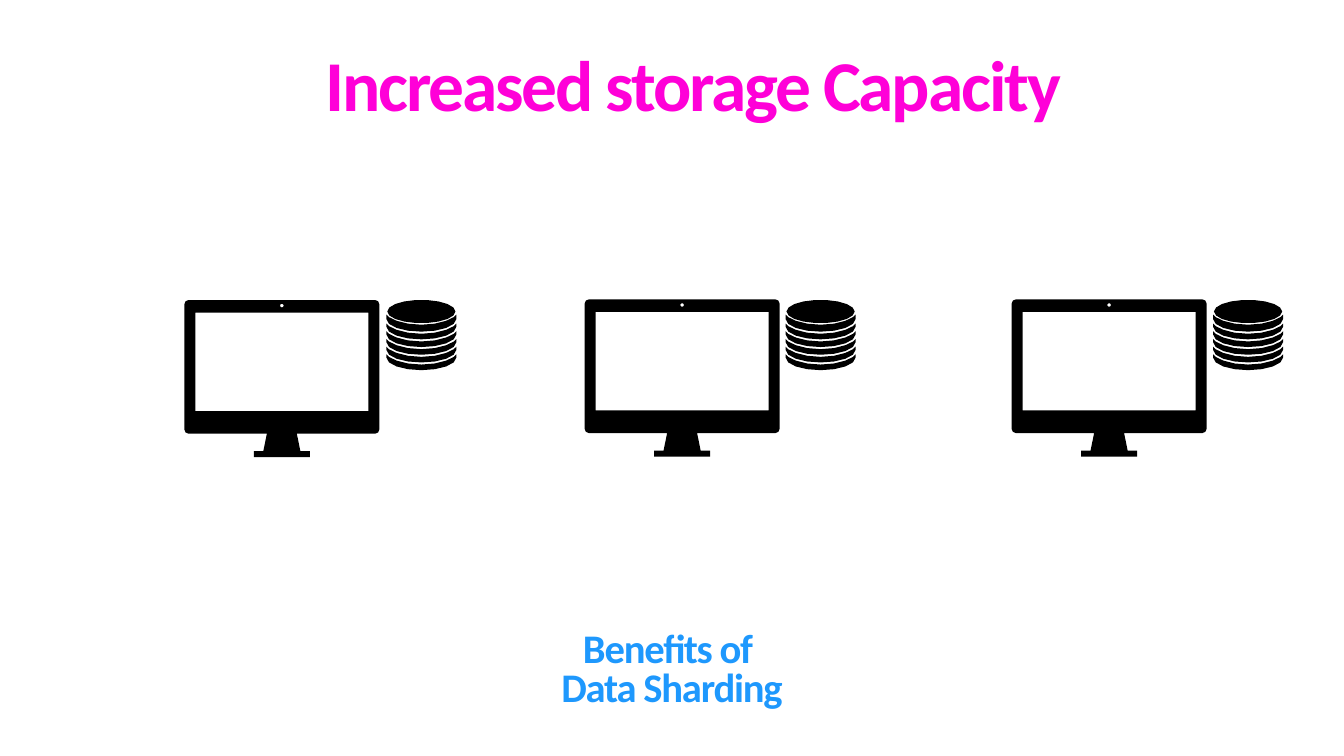
from dataclasses import dataclass
from math import cos, pi, sin

from pptx import Presentation
from pptx.dml.color import RGBColor
from pptx.enum import text as t
from pptx.util import Pt

BLACK = RGBColor(0x00, 0x00, 0x00)
BLUE = RGBColor(0x1E, 0x98, 0xFD)
MAGENTA = RGBColor(0xFF, 0x00, 0xF7)
PINK = RGBColor(0xFF, 0x00, 0xD8)
ORANGE = RGBColor(0xFF, 0x54, 0x2E)

Dots = list[tuple[float, float]]


@dataclass
class Node:
    """A server: top-left corner of its monitor and left of its disk stack."""
    left: float
    top: float
    disk: float


NODES = [Node(263.4, 428.6, 552), Node(835.2, 427.7, 1122.3),
         Node(1445.2, 427.7, 1733)]
DISK_TOP = 428.4


def arc(x: float, y: float, rx: float, ry: float, start: float, end: float,
        steps: int, power: float = 1) -> Dots:
    """Points on an oval; angles in degrees, clockwise from the right."""
    angles = [(start + (end - start) * i / steps) * pi / 180
              for i in range(steps + 1)]
    if power != 1:
        return [(x + rx * cos(a), y + ry * abs(sin(a)) ** power)
                for a in angles]
    return [(x + rx * cos(a), y + ry * sin(a)) for a in angles]


def draw(slide, left: float, top: float, rings: list[Dots]) -> None:
    """Draw closed outlines as one black shape; inner ones become holes."""
    rings = [[(Pt(left + x), Pt(top + y)) for x, y in ring] for ring in rings]
    pen = slide.shapes.build_freeform(*rings[0][0], scale=1.0)
    for i, ring in enumerate(rings):
        if i:
            pen.move_to(*ring[0])
        pen.add_line_segments(ring[1:], close=True)
    shape = pen.convert_to_shape()
    shape.shadow.inherit = False
    shape.fill.solid()
    shape.fill.fore_color.rgb = BLACK
    shape.line.fill.background()


def screen() -> list[Dots]:
    """Monitor with stand, camera hole and display opening."""
    wide, high, rad = 278.5, 191, 6
    mid = wide / 2
    half = [(21.4, high), (26.5, 216), (40, 216), (40, 224.6)]
    body = (arc(rad, rad, rad, rad, 180, 270, 2)
            + arc(wide - rad, rad, rad, rad, 270, 360, 2)
            + arc(wide - rad, high - rad, rad, rad, 0, 90, 2)
            + [(mid + x, y) for x, y in half]
            + [(mid - x, y) for x, y in reversed(half)]
            + arc(rad, high - rad, rad, rad, 90, 180, 2))
    lens = arc(mid, 8, 2.6, 2.6, 0, 315, 7)
    view = [(15.8, 18), (262.7, 18), (262.7, 158.6), (15.8, 158.6)]
    return [body, lens, view]


def stack() -> list[Dots]:
    """Top disk and six curved bands below it, 11 pt apart."""
    rad, step = 50, 11
    rings = [arc(rad, 16.6, 48.7, 16.6, 0, 340, 17)]
    for i in range(6):
        edge = 22.8 + step * i if i else 20.9
        rings.append(arc(rad, edge, rad, 14.6, 180, 0, 8, power=1.4)
                     + arc(rad, 27.4 + step * i, rad, 18, 0, 180, 8))
    return rings


def write(slide, lines: list[str], *, left: float, top: float, width: float,
          height: float, size: float, stops: tuple[RGBColor, RGBColor],
          pitch: float, track: float, indent: float = 0) -> None:
    """Add a bottom-anchored, centred bold text box with gradient letters."""
    box = slide.shapes.add_textbox(Pt(left), Pt(top), Pt(width), Pt(height))
    frame = box.text_frame
    frame.word_wrap = True
    frame.vertical_anchor = t.MSO_ANCHOR.BOTTOM
    frame.margin_left = frame.margin_right = Pt(4)
    frame.margin_top = frame.margin_bottom = Pt(4)
    for i, line in enumerate(lines):
        para = frame.add_paragraph() if i else frame.paragraphs[0]
        para.alignment = t.PP_ALIGN.CENTER
        para.line_spacing = pitch
        if indent:
            para._p.get_or_add_pPr().set("indent", str(Pt(indent)))
        run = para.add_run()
        run.text = line
        font = run.font
        font.name, font.size, font.bold = "Calibri", Pt(size), True
        font.fill.gradient()
        font.fill.gradient_angle = 294
        for stop, tint, place in zip(font.fill.gradient_stops, stops, (0, 1)):
            stop.color.rgb = tint
            stop.position = place
        run._r.get_or_add_rPr().set("spc", str(round(track * 100)))


def main() -> None:
    deck = Presentation()
    deck.slide_width, deck.slide_height = Pt(1920), Pt(1080)
    slide = deck.slides.add_slide(deck.slide_layouts[6])

    # Section name and heading
    write(slide, ["Benefits of ", "Data Sharding"], left=110, top=897,
          width=1700, height=122.4, size=58, stops=(BLUE, MAGENTA),
          pitch=0.8, track=-1.7)
    write(slide, ["Increased storage Capacity"], left=378.7, top=62.6,
          width=1191.6, height=122.4, size=102.1, stops=(PINK, ORANGE),
          pitch=0.9, track=-3.1, indent=31.7)

    # Servers, each with its own storage
    for node in NODES:
        draw(slide, node.left, node.top, screen())
        draw(slide, node.disk, DISK_TOP, stack())

    deck.save("out.pptx")


if __name__ == "__main__":
    main()
